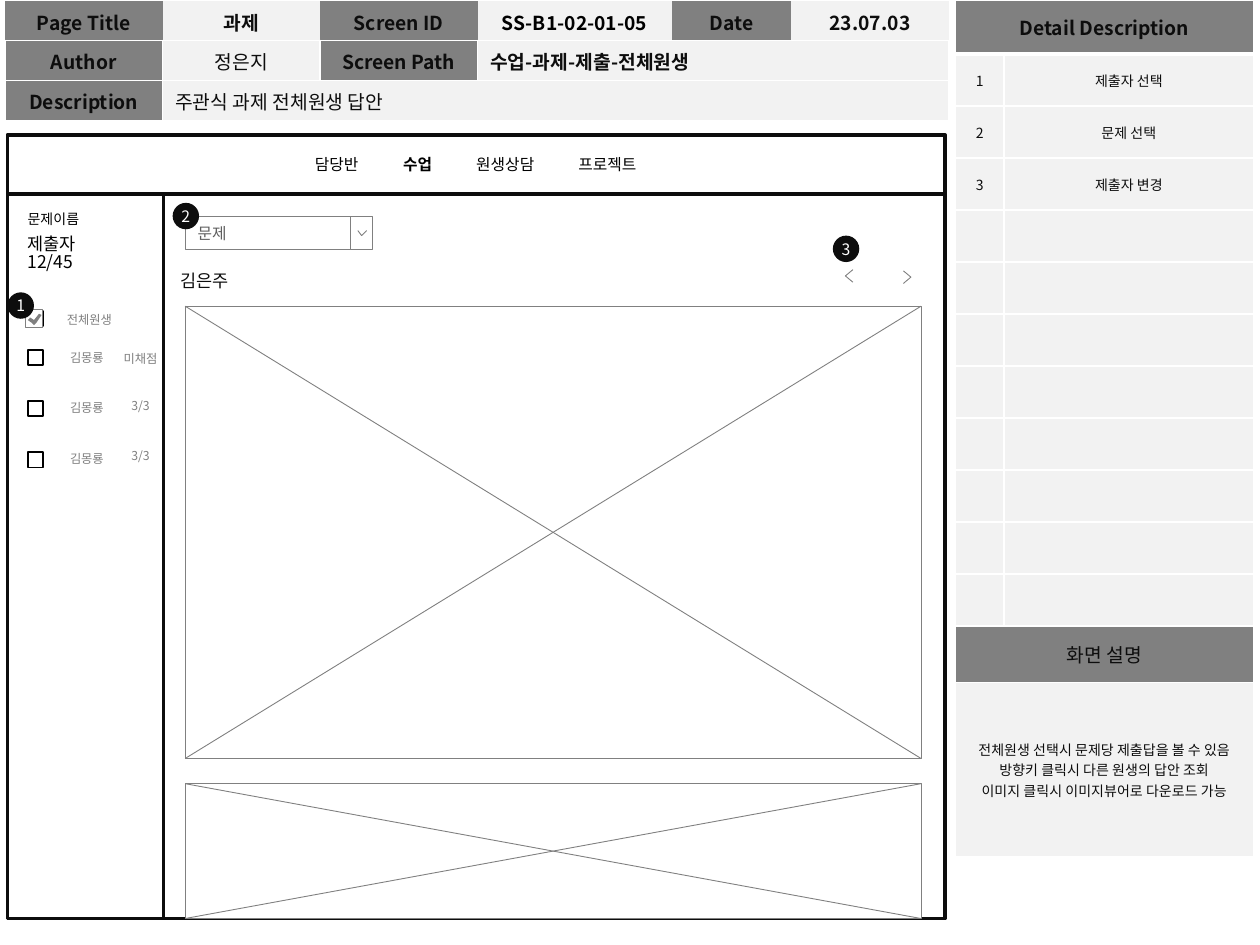
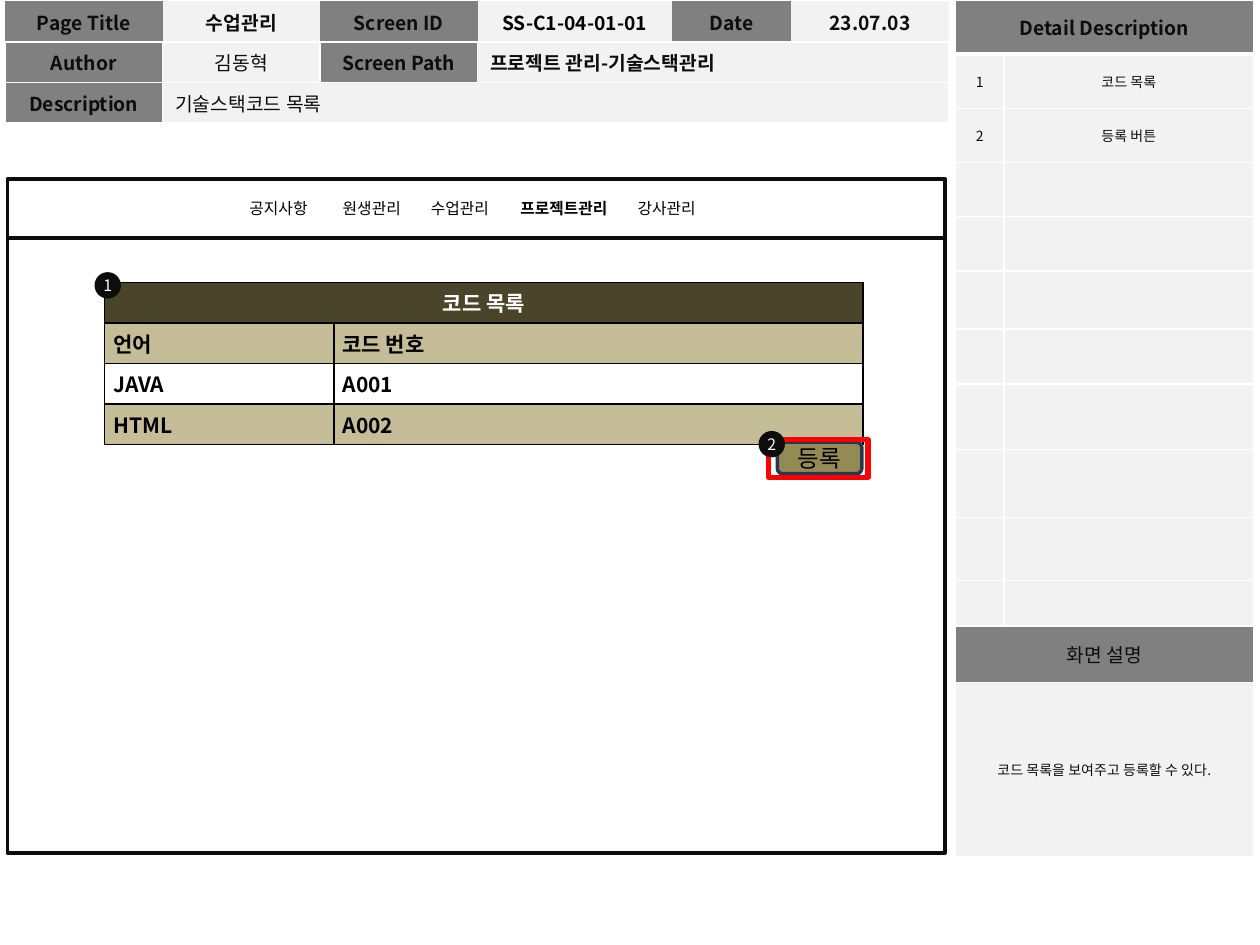
from dataclasses import dataclass

from lxml import etree
from pptx import Presentation
from pptx.dml.color import RGBColor
from pptx.enum.shapes import MSO_CONNECTOR, MSO_SHAPE
from pptx.enum.text import MSO_ANCHOR, PP_ALIGN
from pptx.oxml.ns import qn
from pptx.util import Inches, Pt

LEFT, CENTER = PP_ALIGN.LEFT, PP_ALIGN.CENTER
TOP, MIDDLE = MSO_ANCHOR.TOP, MSO_ANCHOR.MIDDLE
RECTANGLE, ROUNDED = MSO_SHAPE.RECTANGLE, MSO_SHAPE.ROUNDED_RECTANGLE
OVAL, STRAIGHT = MSO_SHAPE.OVAL, MSO_CONNECTOR.STRAIGHT
ALL_SIDES = "LRTB"


@dataclass(frozen=True)
class Theme:
    font: str = "Noto Sans CJK KR"
    field_font: str = "Roboto"
    ink: str = "0D0D0D"
    black: str = "000000"
    white: str = "FFFFFF"
    gray: str = "808080"
    pale: str = "F2F2F2"
    field_text: str = "5F5F5F"
    code_head: str = "4A452A"
    code_band: str = "C4BD97"
    button: str = "948A54"
    button_line: str = "233953"
    highlight: str = "FF0000"
    heading: float = 11
    code: float = 12
    button_size: float = 13.5
    name: float = 10
    menu: float = 9
    body: float = 8
    label: float = 7


THEME = Theme()


# Text and shape helpers
def style_run(run, size, color, bold=False, font=THEME.font):
    run.font.size = Pt(size)
    run.font.bold = bold
    run.font.color.rgb = RGBColor.from_string(color)
    run.font.name = font
    east_asian = etree.SubElement(run._r.get_or_add_rPr(), qn("a:ea"))
    east_asian.set("typeface", font)


def write_text(frame, text, size, color, align=CENTER, **style):
    frame.text = text
    for paragraph in frame.paragraphs:
        paragraph.alignment = align
        for run in paragraph.runs:
            style_run(run, size, color, **style)


def set_margins(frame, left=0, right=0, vertical=0):
    frame.margin_left, frame.margin_right = Inches(left), Inches(right)
    frame.margin_top = frame.margin_bottom = Inches(vertical)


def paint(shape, fill=None, line=None, width=0.5):
    shape.shadow.inherit = False
    if fill:
        shape.fill.solid()
        shape.fill.fore_color.rgb = RGBColor.from_string(fill)
    else:
        shape.fill.background()
    if line:
        shape.line.color.rgb = RGBColor.from_string(line)
        shape.line.width = Pt(width)
    else:
        shape.line.fill.background()


def add_box(slide, kind, left, top, width, height, fill=None, line=None, weight=0.5):
    shape = slide.shapes.add_shape(kind, Inches(left), Inches(top), Inches(width), Inches(height))
    paint(shape, fill, line, weight)
    frame = shape.text_frame
    frame.word_wrap = True
    frame.vertical_anchor = MIDDLE
    set_margins(frame)
    return shape


def add_label(slide, left, top, width, height, text, size, color, align=CENTER):
    box = slide.shapes.add_textbox(Inches(left), Inches(top), Inches(width), Inches(height))
    frame = box.text_frame
    frame.word_wrap = True
    frame.vertical_anchor = TOP
    set_margins(frame, left=0.1 if align == LEFT else 0, vertical=0.05)
    write_text(frame, text, size, color, align)
    return frame


def add_outline(slide, left, top, points, closed=False, fill=None, line=None):
    corners = [(Inches(left + x), Inches(top + y)) for x, y in points]
    builder = slide.shapes.build_freeform(*corners[0], scale=1.0)
    builder.add_line_segments(corners[1:], close=closed)
    paint(builder.convert_to_shape(), fill, line)


def add_marker(slide, left, top, number):
    marker = add_box(slide, OVAL, left, top, 0.21, 0.21, THEME.ink)
    write_text(marker.text_frame, str(number), THEME.menu, THEME.white)


# Table helpers
def add_grid(slide, left, top, columns, rows):
    table = slide.shapes.add_table(len(rows), len(columns), Inches(left), Inches(top),
                                   Inches(sum(columns)), Inches(sum(rows))).table
    table.first_row = table.horz_banding = False
    for column, width in zip(table.columns, columns):
        column.width = Inches(width)
    for row, height in zip(table.rows, rows):
        row.height = Inches(height)
    return table


def set_borders(cell, color, sides=ALL_SIDES, **widths):
    properties = cell._tc.get_or_add_tcPr()
    for index, side in enumerate(ALL_SIDES):
        line = etree.Element(qn(f"a:ln{side}"), w=str(Pt(widths.get(side, 1))))
        if side in sides:
            fill = etree.SubElement(line, qn("a:solidFill"))
            etree.SubElement(fill, qn("a:srgbClr"), val=color)
        else:
            etree.SubElement(line, qn("a:noFill"))
        properties.insert(index, line)


def fill_cell(cell, text, fill, size, color=THEME.ink, align=CENTER, bold=False):
    cell.fill.solid()
    cell.fill.fore_color.rgb = RGBColor.from_string(fill)
    cell.vertical_anchor = MIDDLE
    if text:
        write_text(cell.text_frame, text, size, color, align, bold=bold)
    else:
        end = cell.text_frame.paragraphs[0]._p.get_or_add_endParaRPr()
        end.set("sz", str(int(size * 100)))


# Page header and side panel
def add_page_header(slide, left, top, title, screen_id, date, author, route, description):
    table = add_grid(slide, left, top, [1.25, 1.25, 1.25, 1.54, 0.95, 1.25], [0.31, 0.32, 0.32])
    table.cell(1, 3).merge(table.cell(1, 5))
    table.cell(2, 1).merge(table.cell(2, 5))
    rows = [["Page Title", title, "Screen ID", screen_id, "Date", date],
            ["Author", author, "Screen Path", route],
            ["Description", description]]
    for r, texts in enumerate(rows):
        for c, text in enumerate(texts):
            is_key = c % 2 == 0
            fill_cell(table.cell(r, c), text, THEME.gray if is_key else THEME.pale, THEME.heading,
                      THEME.black if text == screen_id else THEME.ink,
                      LEFT if text in (route, description) else CENTER,
                      bold=is_key or text not in (author, description))
        for c in range(6):
            set_borders(table.cell(r, c), THEME.white, ALL_SIDES if r else "B")


def add_side_panel(slide, left, top, row_heights, details, summary):
    heights = [0.43, *row_heights, 0.45, 1.38]
    table = add_grid(slide, left, top, [0.39, 1.98], heights)
    caption, note = len(heights) - 2, len(heights) - 1
    for r in (0, caption, note):
        table.cell(r, 0).merge(table.cell(r, 1))
    fill_cell(table.cell(0, 0), "Detail Description", THEME.gray, THEME.heading, bold=True)
    for r in range(1, caption):
        used = r <= len(details)
        fill_cell(table.cell(r, 0), str(r) if used else "", THEME.pale, THEME.body)
        fill_cell(table.cell(r, 1), details[r - 1] if used else "", THEME.pale, THEME.body)
    fill_cell(table.cell(caption, 0), "화면 설명", THEME.gray, THEME.heading)
    fill_cell(table.cell(note, 0), summary, THEME.pale, THEME.body)
    for r in range(len(heights)):
        for c in range(2):
            edges = {0: {"B": 3}, 1: {"T": 3}}.get(r, {})
            set_borders(table.cell(r, c), THEME.white, **edges)


# Screen frame with its menu bar
def add_menu(slide, left, top, width, inset, items, stops, active):
    frame = add_label(slide, left, top, width, 0.25, "", THEME.menu, THEME.black, LEFT)
    frame.margin_left = Inches(inset)
    paragraph = frame.paragraphs[0]
    tabs = etree.SubElement(paragraph._p.get_or_add_pPr(), qn("a:tabLst"))
    for stop in stops:
        etree.SubElement(tabs, qn("a:tab"), pos=str(Inches(stop)), algn="l")
    for index, item in enumerate(items):
        run = paragraph.add_run()
        run.text = f"\t{item}" if index else item
        style_run(run, THEME.menu, THEME.black, bold=item == active)


def add_screen_frame(slide, left, top, body_height):
    width, bar = 7.44, 0.47
    add_box(slide, RECTANGLE, left, top + bar, width, body_height, line=THEME.ink, weight=2)
    add_box(slide, RECTANGLE, left, top, width, bar, line=THEME.ink, weight=2)


# Regions of the answer screen
def add_submitter_list(slide, left, top):
    add_box(slide, RECTANGLE, left, top, 1.24, 5.75, line=THEME.ink, weight=2)
    add_label(slide, left + 0.06, top + 0.08, 0.65, 0.24, "문제이름", THEME.body, THEME.black, LEFT)
    counter = add_label(slide, left + 0.06, top + 0.28, 0.7, 0.44, "제출자\n12/45",
                        THEME.name, THEME.black, LEFT)
    for paragraph in counter.paragraphs:
        paragraph.line_spacing = 0.88

    for offset in (0.93, 1.24, 1.64, 2.05):
        add_box(slide, RECTANGLE, left + 0.16, top + offset, 0.12, 0.12, line=THEME.black, weight=1)
    labels = [(0.35, 0.89, 0.6, "전체원생")]
    for name_top, status_top, status in ((1.19, 1.2, "미채점"), (1.59, 1.57, "3/3"),
                                         (1.99, 1.97, "3/3")):
        labels += [(0.35, name_top, 0.56, "김몽룡"), (0.8, status_top, 0.51, status)]
    for x, y, width, text in labels:
        add_label(slide, left + x, top + y, width, 0.22, text, THEME.label, THEME.gray)

    # Ticked box
    add_box(slide, RECTANGLE, left + 0.14, top + 0.92, 0.14, 0.14, THEME.white, THEME.gray)
    tick = [(0.09, 0), (0.05, 0.05), (0.02, 0.03), (0, 0.05), (0.03, 0.07),
            (0.05, 0.09), (0.07, 0.07), (0.11, 0.01)]
    add_outline(slide, left + 0.16, top + 0.95, tick, closed=True, fill=THEME.gray)
    add_marker(slide, left, top + 0.78, 1)


def add_image_box(slide, left, top, width, height):
    add_box(slide, RECTANGLE, left, top, width, height, THEME.white, THEME.gray)
    for start, end in ((top + height, top), (top, top + height)):
        diagonal = slide.shapes.add_connector(STRAIGHT, Inches(left), Inches(start),
                                              Inches(left + width), Inches(end))
        diagonal.line.color.rgb = RGBColor.from_string(THEME.gray)
        diagonal.line.width = Pt(0.5)
        etree.SubElement(diagonal._element.spPr, qn("a:effectLst"))


def add_question_picker(slide, left, top):
    field = add_box(slide, RECTANGLE, left, top, 1.31, 0.26, THEME.white, THEME.gray)
    set_margins(field.text_frame, left=0.1, right=0.1)
    write_text(field.text_frame, "문제", THEME.menu, THEME.field_text, LEFT, font=THEME.field_font)
    add_box(slide, RECTANGLE, left + 1.31, top, 0.18, 0.26, THEME.white, THEME.gray)
    add_outline(slide, left + 1.37, top + 0.11, [(0.07, 0), (0.03, 0.04), (0, 0)], line=THEME.gray)
    add_marker(slide, left - 0.1, top - 0.11, 2)


def add_answer_area(slide, left, top):
    name = add_box(slide, ROUNDED, left - 0.05, top + 0.38, 3.32, 0.26)
    write_text(name.text_frame, "김은주", THEME.name, THEME.ink, LEFT)
    for x, y, tip in ((5.24, 0.42, 0), (5.7, 0.43, 0.06)):
        add_outline(slide, left + x, top + y, [(0.06 - tip, 0), (tip, 0.05), (0.06 - tip, 0.1)],
                    line=THEME.gray)
    add_image_box(slide, left, top + 0.71, 5.84, 3.59)
    add_image_box(slide, left, top + 4.5, 5.84, 1.07)
    add_question_picker(slide, left, top)
    add_marker(slide, left + 5.14, top + 0.15, 3)


# Regions of the code screen
def add_code_table(slide, left, top):
    rows = [["코드 목록", ""], ["언어", "코드 번호"], ["JAVA", "A001"], ["HTML", "A002"]]
    fills = [THEME.code_head, THEME.code_band, THEME.white, THEME.code_band]
    table = add_grid(slide, left, top, [1.82, 4.2], [1.18 / len(rows)] * len(rows))
    table.cell(0, 0).merge(table.cell(0, 1))
    for r, texts in enumerate(rows):
        for c, text in enumerate(texts):
            cell = table.cell(r, c)
            fill_cell(cell, text, fills[r], THEME.code, THEME.black if r else THEME.white,
                      LEFT if r else CENTER, bold=True)
            cell.margin_left = cell.margin_right = Inches(0.07)
            cell.margin_top = cell.margin_bottom = Inches(0.04)
            set_borders(cell, THEME.black)
    add_marker(slide, left - 0.08, top - 0.08, 1)


def add_register_button(slide, left, top):
    button = add_box(slide, ROUNDED, left + 0.07, top + 0.02, 0.67, 0.25,
                     THEME.button, THEME.button_line, 2)
    write_text(button.text_frame, "등록", THEME.button_size, THEME.black)
    add_box(slide, RECTANGLE, left, top, 0.79, 0.3, line=THEME.highlight, weight=3)
    add_marker(slide, left - 0.08, top - 0.07, 2)


# Slides
def build_answer_slide(slide):
    add_screen_frame(slide, 0.06, 1.07, 5.75)
    add_menu(slide, 2.2, 1.18, 3.16, 0.3, ["담당반", "수업", "원생상담", "프로젝트"],
             [0.7, 1.28, 2.09], "수업")
    add_page_header(slide, 0.04, 0.01, "과제", "SS-B1-02-01-05", "23.07.03", "정은지",
                    "수업-과제-제출-전체원생", "주관식 과제 전체원생 답안")
    add_side_panel(slide, 7.58, 0, [4.54 / 11] * 11, ["제출자 선택", "문제 선택", "제출자 변경"],
                   "전체원생 선택시 문제당 제출답을 볼 수 있음\n"
                   "방향키 클릭시 다른 원생의 답안 조회\n"
                   "이미지 클릭시 이미지뷰어로 다운로드 가능")
    add_submitter_list(slide, 0.06, 1.54)
    add_answer_area(slide, 1.47, 1.72)


def build_code_slide(slide):
    add_code_table(slide, 0.83, 2.24)
    add_register_button(slide, 6.1, 3.49)
    add_page_header(slide, 0.04, 0.01, "수업관리", "SS-C1-04-01-01", "23.07.03", "김동혁",
                    "프로젝트 관리-기술스택관리", "기술스택코드 목록")
    add_side_panel(slide, 7.58, 0, [0.43] * 4 + [0.46, 0.44, 0.52, 0.54, 0.5, 0.36],
                   ["코드 목록", "등록 버튼"], "코드 목록을 보여주고 등록할 수 있다.")
    add_screen_frame(slide, 0.06, 1.42, 4.88)
    add_menu(slide, 1.63, 1.53, 4.25, 0.35,
             ["공지사항", "원생관리", "수업관리", "프로젝트관리", "강사관리"],
             [0.74, 1.44, 2.15, 3.08], "프로젝트관리")


def main():
    presentation = Presentation()
    presentation.slide_width, presentation.slide_height = Inches(10), Inches(7.5)
    blank = presentation.slide_layouts[6]
    for build in (build_answer_slide, build_code_slide):
        build(presentation.slides.add_slide(blank))
    presentation.save("out.pptx")


if __name__ == "__main__":
    main()
